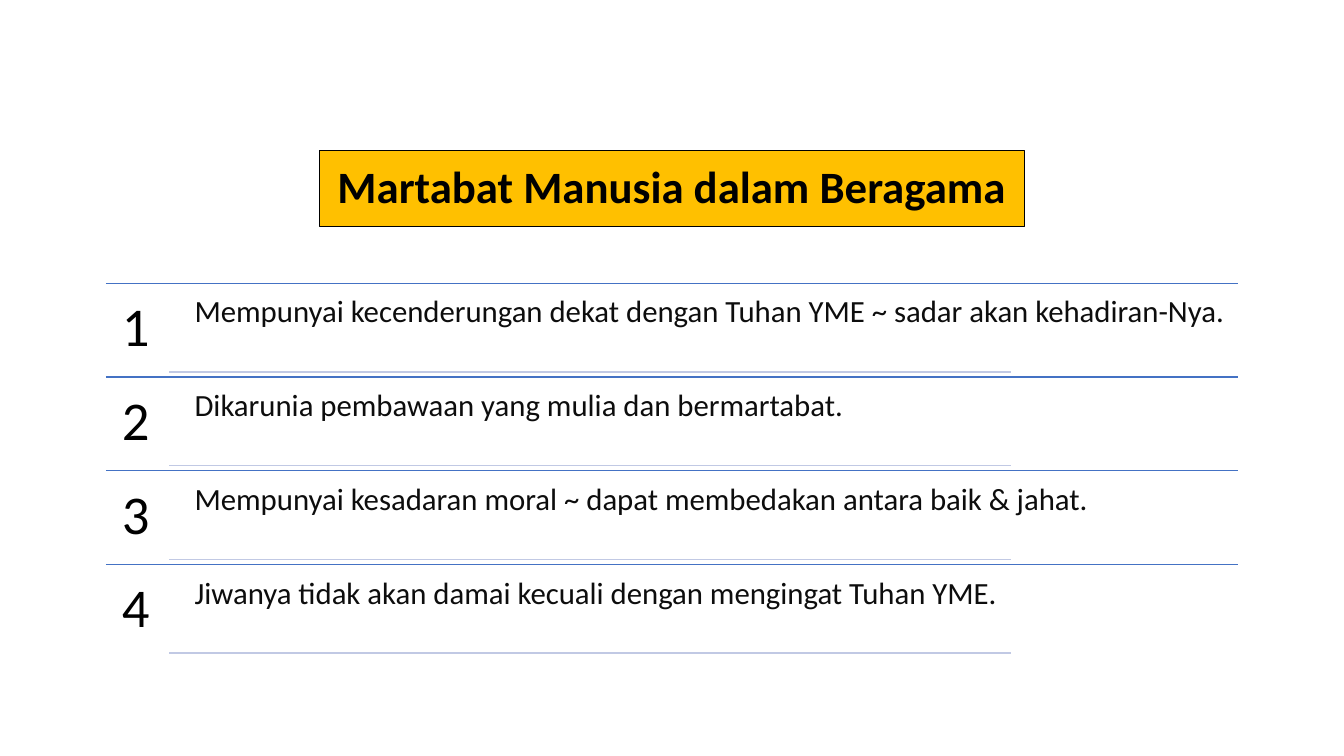
from dataclasses import dataclass

from lxml import etree
from pptx import Presentation
from pptx.dml.color import RGBColor
from pptx.enum.shapes import MSO_CONNECTOR
from pptx.enum.text import MSO_ANCHOR, MSO_AUTO_SIZE, PP_ALIGN
from pptx.oxml.ns import qn
from pptx.util import Inches, Pt

STRAIGHT = MSO_CONNECTOR.STRAIGHT
TOP, MIDDLE = MSO_ANCHOR.TOP, MSO_ANCHOR.MIDDLE
LEFT, CENTER, JUSTIFY = PP_ALIGN.LEFT, PP_ALIGN.CENTER, PP_ALIGN.JUSTIFY


@dataclass(frozen=True)
class Theme:
    font: str = "Calibri"
    black: RGBColor = RGBColor.from_string("000000")
    body: RGBColor = RGBColor.from_string("0D0D0D")
    banner: RGBColor = RGBColor.from_string("FFC000")
    row_rule: RGBColor = RGBColor.from_string("4472C4")
    under_rule: RGBColor = RGBColor.from_string("C1C9E4")
    title_size: int = 32
    number_size: int = 39
    body_size: int = 22
    rule_width: int = 1


theme = Theme()

# Grid in inches
ROWS_TOP, ROW_HEIGHT = 2.81, 0.93
NUMBER_LEFT, NUMBER_WIDTH = 1.05, 0.63
TEXT_LEFT, ROW_RIGHT = 1.84, 12.28
UNDER_LEFT, UNDER_RIGHT = NUMBER_LEFT + NUMBER_WIDTH, 10.03
TEXT_GAP, TEXT_HEIGHT = 0.04, 0.84

statements = [
    ("Mempunyai kecenderungan dekat dengan Tuhan YME ~ sadar akan kehadiran-Nya.", JUSTIFY),
    ("Dikarunia pembawaan yang mulia dan bermartabat.", JUSTIFY),
    ("Mempunyai kesadaran moral ~ dapat membedakan antara baik & jahat.", LEFT),
    ("Jiwanya tidak akan damai kecuali dengan mengingat Tuhan YME.", LEFT),
]


def write_text(box, text, size, color, inset, align=LEFT, anchor=TOP, bold=False):
    frame = box.text_frame
    frame.word_wrap = True
    frame.auto_size = MSO_AUTO_SIZE.NONE
    frame.vertical_anchor = anchor
    frame.margin_left = frame.margin_right = Inches(inset)
    frame.margin_top = frame.margin_bottom = Inches(inset)
    para = frame.paragraphs[0]
    para.alignment = align
    para.line_spacing = 0.9
    span = para.add_run()
    span.text = text
    span.font.name = theme.font
    span.font.size = Pt(size)
    span.font.bold = bold
    span.font.color.rgb = color


def add_rule(page, left, right, top, color):
    rule = page.shapes.add_connector(
        STRAIGHT, Inches(left), Inches(top), Inches(right), Inches(top))
    rule.line.color.rgb = color
    rule.line.width = Pt(theme.rule_width)
    etree.SubElement(rule._element.spPr, qn("a:effectLst"))


deck = Presentation()
deck.slide_width, deck.slide_height = Inches(13.33), Inches(7.5)
page = deck.slides.add_slide(deck.slide_layouts[5])

title = page.shapes.title
title.left, title.top = Inches(3.17), Inches(1.49)
title.width, title.height = Inches(6.99), Inches(0.76)
title.fill.solid()
title.fill.fore_color.rgb = theme.banner
title.line.color.rgb = theme.black
title.line.width = Pt(theme.rule_width)
write_text(title, "Martabat Manusia dalam Beragama", theme.title_size,
           theme.black, 0.05, CENTER, MIDDLE, bold=True)

for index, (statement, align) in enumerate(statements):
    top = ROWS_TOP + index * ROW_HEIGHT
    text_top = top + TEXT_GAP
    add_rule(page, NUMBER_LEFT, ROW_RIGHT, top, theme.row_rule)

    number_box = page.shapes.add_textbox(
        Inches(NUMBER_LEFT), Inches(top), Inches(NUMBER_WIDTH), Inches(ROW_HEIGHT))
    write_text(number_box, str(index + 1), theme.number_size, theme.black, 0.16)

    statement_box = page.shapes.add_textbox(
        Inches(TEXT_LEFT), Inches(text_top),
        Inches(ROW_RIGHT - TEXT_LEFT), Inches(TEXT_HEIGHT))
    write_text(statement_box, statement, theme.body_size, theme.body, 0.09, align)

    add_rule(page, UNDER_LEFT, UNDER_RIGHT, text_top + TEXT_HEIGHT, theme.under_rule)

deck.save("out.pptx")
